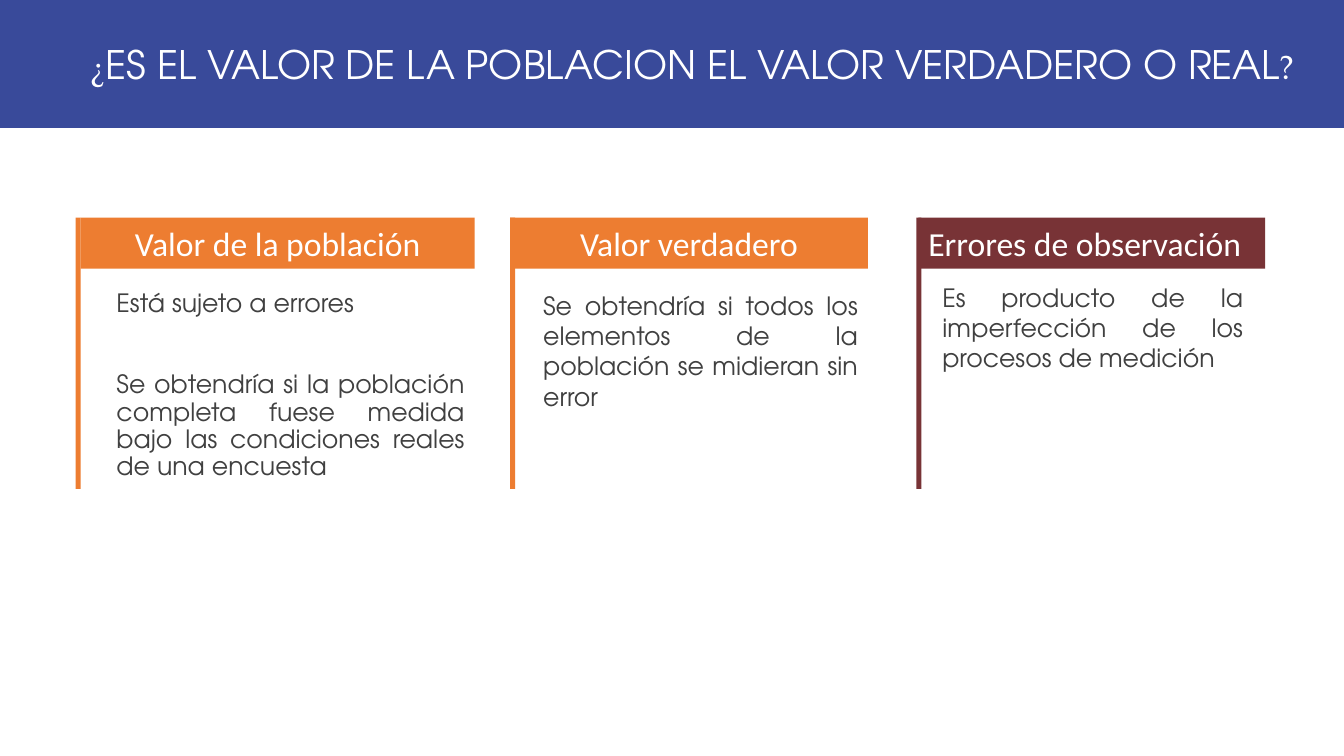
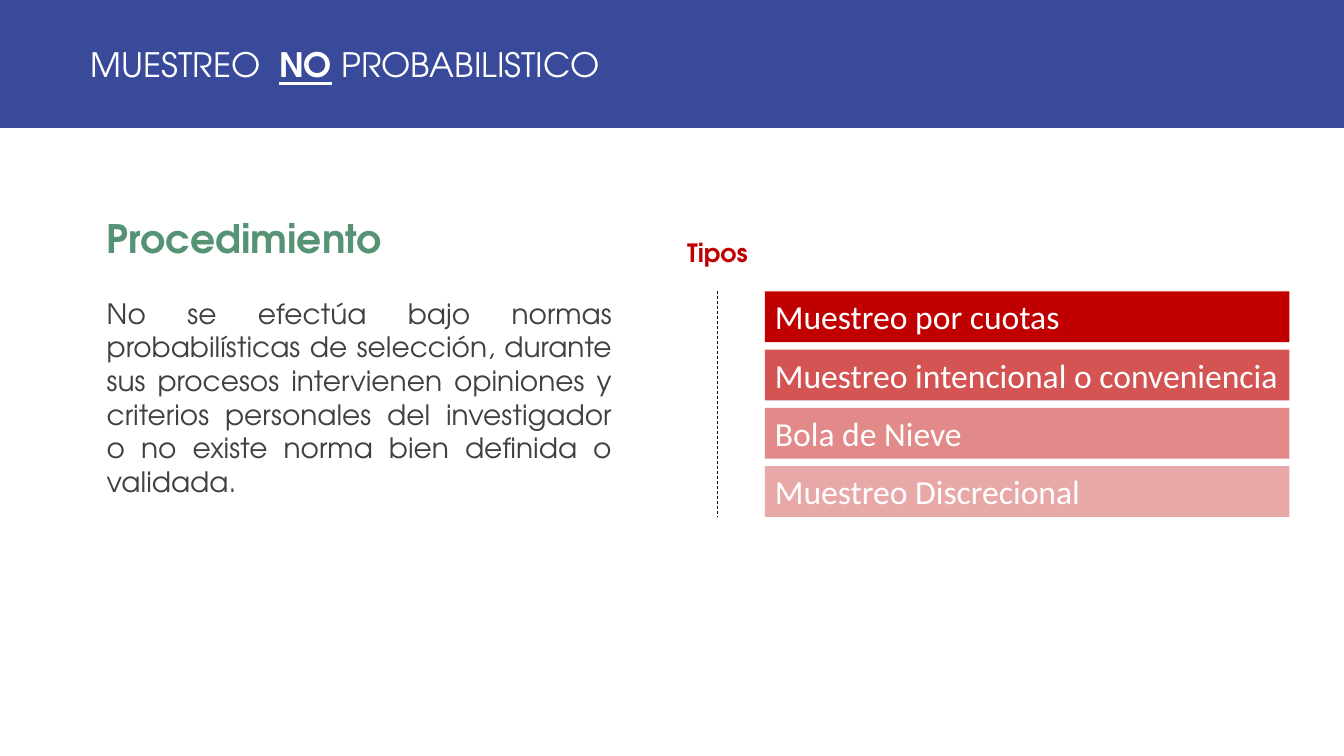
from lxml import etree
from pptx import Presentation
from pptx.dml.color import RGBColor
from pptx.enum.dml import MSO_LINE
from pptx.enum.shapes import MSO_CONNECTOR, MSO_SHAPE
from pptx.enum.text import MSO_ANCHOR, PP_ALIGN
from pptx.oxml.ns import qn
from pptx.util import Pt

RECT = MSO_SHAPE.RECTANGLE
LINE = MSO_CONNECTOR.STRAIGHT
DASH = MSO_LINE.DASH
TOP, MIDDLE = MSO_ANCHOR.TOP, MSO_ANCHOR.MIDDLE
LEFT, CENTER, FULL = PP_ALIGN.LEFT, PP_ALIGN.CENTER, PP_ALIGN.JUSTIFY

BLUE = RGBColor(0x39, 0x4A, 0x9A)
ORANGE = RGBColor(0xED, 0x7D, 0x31)
MAROON = RGBColor(0x78, 0x33, 0x36)
RED = RGBColor(0xC0, 0x00, 0x00)
GREEN = RGBColor(0x55, 0x93, 0x74)
GRAY = RGBColor(0x40, 0x40, 0x40)
BLACK = RGBColor(0x00, 0x00, 0x00)
WHITE = RGBColor(0xFF, 0xFF, 0xFF)

SANS, SERIF, PLAIN = "TeX Gyre Adventor", "TeX Gyre Pagella", "Calibri"
WIDE, HIGH = 960, 540
BAR = 36.3


def add_run(para, text, size, face=SANS, color=GRAY, bold=False, under=False, gap=0):
    run = para.add_run()
    run.text = text
    font = run.font
    font.size, font.name = Pt(size), face
    font.color.rgb = color
    font.bold, font.underline = bold, under
    if gap:  # extra letter spacing, in points
        run._r.get_or_add_rPr().set("spc", str(int(gap * 100)))


def add_rect(slide, x, y, w, h, fill, alpha=100):
    rect = slide.shapes.add_shape(RECT, Pt(x), Pt(y), Pt(w), Pt(h))
    rect.shadow.inherit = False
    rect.fill.solid()
    rect.fill.fore_color.rgb = fill
    rect.line.fill.background()
    if alpha < 100:
        tint = rect._element.spPr.find(qn("a:solidFill"))[0]
        etree.SubElement(tint, qn("a:alpha")).set("val", str(alpha * 1000))
    return rect


def add_title(slide, runs):
    band = add_rect(slide, 0, 0, WIDE, 91.4, BLUE)
    frame = band.text_frame
    frame.word_wrap = True
    frame.vertical_anchor = MIDDLE
    frame.margin_left = Pt(65)
    para = frame.paragraphs[0]
    para.alignment = LEFT
    for text, size, style in runs:
        add_run(para, text, size, color=WHITE, **style)


def add_bar(slide, x, y, w, fill, text, align=LEFT, alpha=100):
    frame = add_rect(slide, x, y, w, BAR, fill, alpha).text_frame
    frame.word_wrap = True
    frame.vertical_anchor = TOP
    para = frame.paragraphs[0]
    para.alignment = align
    add_run(para, text, 24, PLAIN, WHITE)


def add_text(slide, x, y, w, h, texts, size=18, color=GRAY, bold=False,
             align=FULL, pitch=1, before=0):
    frame = slide.shapes.add_textbox(Pt(x), Pt(y), Pt(w), Pt(h)).text_frame
    frame.word_wrap = True
    for i, text in enumerate(texts):
        para = frame.add_paragraph() if i else frame.paragraphs[0]
        para.alignment = align
        para.line_spacing = pitch
        if i:
            para.space_before = Pt(before)
        add_run(para, text, size, color=color, bold=bold)


def add_dash(slide, x, y, end):
    line = slide.shapes.add_connector(LINE, Pt(x), Pt(y), Pt(x), Pt(end))
    line.line.color.rgb = BLACK
    line.line.width = Pt(0.5)
    line.line.dash_style = DASH
    etree.SubElement(line._element.spPr, qn("a:effectLst"))


def build_values(slide):
    mark = {"face": SERIF}
    add_title(slide, [
        ("¿", 24, mark),
        ("ES EL VALOR DE LA POBLACION EL VALOR VERDADERO O REAL", 28, {}),
        ("?", 24, mark),
    ])
    # Three columns: header bar and side rail
    top = 155.5
    heads = [
        (54, 57.6, 281.5, ORANGE, "Valor de la población", CENTER),
        (364.3, 364.3, 255.6, ORANGE, "Valor verdadero", CENTER),
        (654.5, 656, 247.7, MAROON, "Errores de observación", LEFT),
    ]
    for rail, x, w, color, text, align in heads:
        add_bar(slide, x, top, w, color, text, align)
        add_rect(slide, rail, top, 3.6, 193.7, color)
    # Column texts
    add_text(slide, 76.1, 203.8, 262.8, 145.4, [
        "Está sujeto a errores",
        "Se obtendría si la población completa fuese medida bajo las "
        "condiciones reales de una encuesta",
    ], pitch=0.9, before=39)
    add_text(slide, 380.9, 203.8, 239, 94.3, [
        "Se obtendría si todos los elementos de la población se midieran sin error"])
    add_text(slide, 666, 198, 229, 72.7, [
        "Es producto de la imperfección de los procesos de medición"])


def build_types(slide):
    add_title(slide, [
        ("MUESTREO", 24, {}),
        (" ", 24, {"gap": 6.6}),
        ("NO", 24, {"bold": True, "under": True}),
        (" PROBABILISTICO", 24, {}),
    ])
    # Procedure
    top = 208.1
    add_text(slide, 69.1, 149.8, 220, 41, ["Procedimiento"], 28, GREEN, True, LEFT)
    add_text(slide, 69.1, top, 375.1, 152.6, [
        "No se efectúa bajo normas probabilísticas de selección, durante sus "
        "procesos intervienen opiniones y criterios personales del investigador "
        "o no existe norma bien definida o validada."], 20)
    # Types, in fading bars
    add_text(slide, 483.8, 165.6, 63, 29, ["Tipos"], 18, RED, True, LEFT)
    types = [
        ("Muestreo por cuotas", 100),
        ("Muestreo intencional o conveniencia", 67),
        ("Bola de Nieve", 46),
        ("Muestreo Discrecional", 34),
    ]
    for i, (text, alpha) in enumerate(types):
        add_bar(slide, 546.4, top + i * 41.6, 374.6, RED, text, alpha=alpha)
    add_dash(slide, 512.6, top, 369.3)


def main():
    deck = Presentation()
    deck.slide_width, deck.slide_height = Pt(WIDE), Pt(HIGH)
    blank = deck.slide_layouts[6]
    for build in (build_values, build_types):
        build(deck.slides.add_slide(blank))
    deck.save("out.pptx")


if __name__ == "__main__":
    main()
